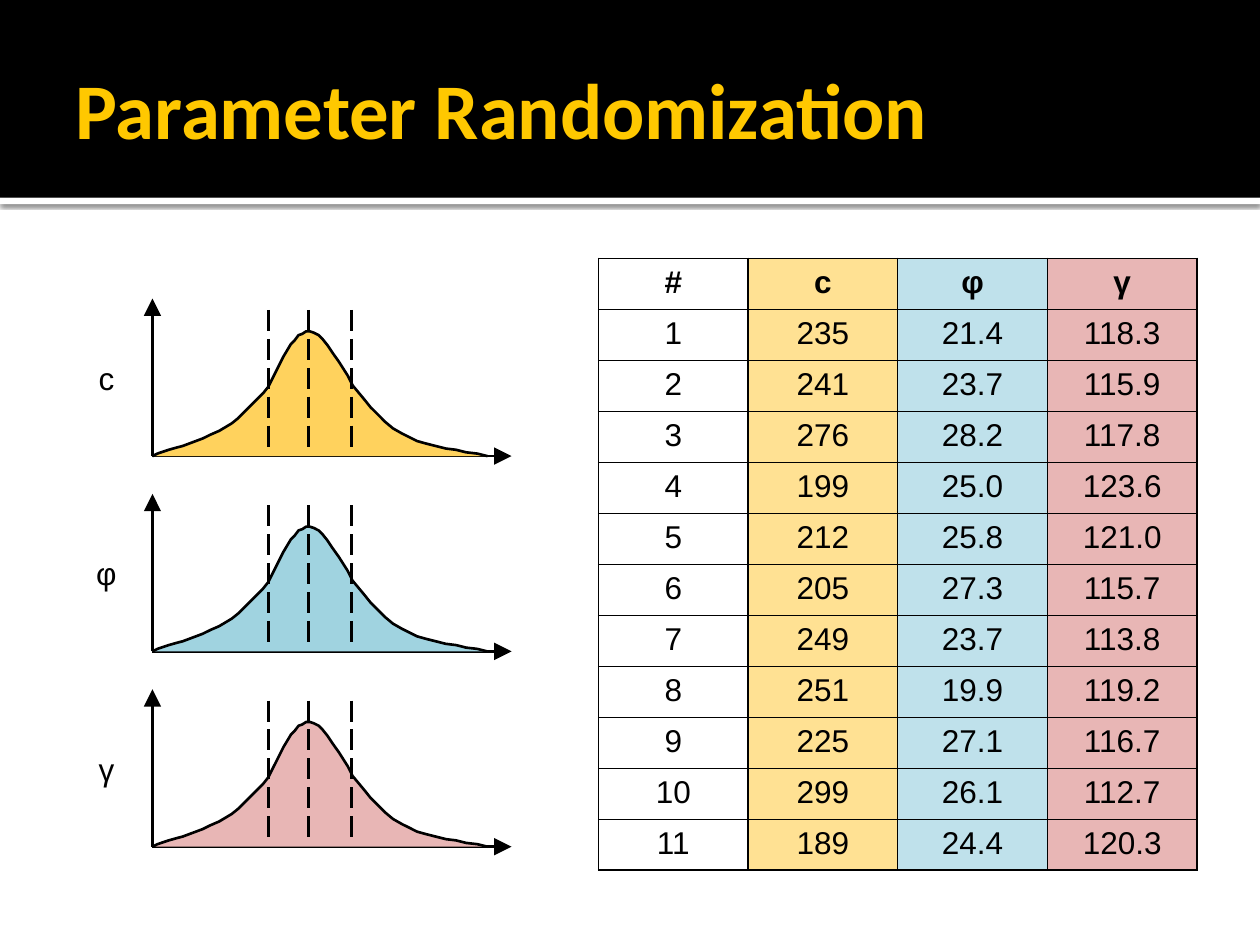
from dataclasses import dataclass

from lxml import etree
from pptx import Presentation
from pptx.dml.color import RGBColor
from pptx.enum.dml import MSO_LINE
from pptx.enum.shapes import MSO_CONNECTOR, MSO_SHAPE
from pptx.enum.text import MSO_ANCHOR, MSO_AUTO_SIZE, PP_ALIGN
from pptx.oxml import parse_xml
from pptx.oxml.ns import nsdecls, qn
from pptx.util import Pt

STRAIGHT = MSO_CONNECTOR.STRAIGHT
RECTANGLE = MSO_SHAPE.RECTANGLE
LONG_DASH = MSO_LINE.LONG_DASH
LEFT, CENTER = PP_ALIGN.LEFT, PP_ALIGN.CENTER
MIDDLE = MSO_ANCHOR.MIDDLE
FIXED_SIZE = MSO_AUTO_SIZE.NONE

PX = 9144  # EMU per px, 100 px to the inch
TITLE_ONLY = 5


@dataclass(frozen=True)
class Theme:
    ink: str = "000000"
    paper: str = "FFFFFF"
    title: str = "FFC800"
    title_font: str = "Calibri"
    body_font: str = "Arial"
    title_size: int = 45
    body_size: int = 18
    line_width: float = 1.5
    border_width: int = 1


THEME = Theme()

# symbol, curve fill, table column fill
PARAMETERS = [
    ("c", "FFD25D", "FFE193"),
    ("φ", "A0D3E0", "BFE1EB"),
    ("γ", "E8B6B5", "E8B6B5"),
]

SAMPLES = [
    ("235", "21.4", "118.3"),
    ("241", "23.7", "115.9"),
    ("276", "28.2", "117.8"),
    ("199", "25.0", "123.6"),
    ("212", "25.8", "121.0"),
    ("205", "27.3", "115.7"),
    ("249", "23.7", "113.8"),
    ("251", "19.9", "119.2"),
    ("225", "27.1", "116.7"),
    ("299", "26.1", "112.7"),
    ("189", "24.4", "120.3"),
]

# distance from the vertical axis, height above the baseline
BELL = [
    (0, 0), (4, 2), (7, 3), (13, 5), (20, 7), (24, 8), (32, 11), (40, 14),
    (46, 17), (53, 20), (58, 23), (63, 26), (68, 30), (72, 34), (76, 38),
    (80, 42), (88, 50), (92, 55), (95, 61), (101, 73), (104, 79), (107, 84),
    (110, 89), (113, 92), (116, 96), (119, 97), (122, 99), (125, 99),
    (128, 98), (132, 96), (135, 93), (139, 88), (143, 82), (148, 75),
    (155, 64), (159, 56), (164, 50), (169, 44), (173, 39), (177, 35),
    (185, 27), (191, 22), (198, 18), (204, 15), (210, 12), (217, 10),
    (225, 8), (233, 6), (241, 5), (249, 3), (258, 2), (266, 0),
]
MARKERS = (92, 124, 158)


def color(value):
    return RGBColor.from_string(value)


def emu(*lengths):
    return [length * PX for length in lengths]


def format_text(para, font, size, shade, bold=False, align=CENTER):
    para.alignment = align
    for span in para.runs:
        span.font.name = font
        span.font.size = Pt(size)
        span.font.bold = bold
        span.font.color.rgb = color(shade)


def draw_line(page, start, end, dashed=False, arrow=False):
    line = page.shapes.add_connector(STRAIGHT, *emu(*start, *end))
    line.line.color.rgb = color(THEME.ink)
    line.line.width = Pt(THEME.line_width)
    if dashed:
        line.line.dash_style = LONG_DASH
    properties = line.element.spPr
    if arrow:
        etree.SubElement(properties.find(qn("a:ln")), qn("a:tailEnd"),
                         type="triangle", w="lg", len="lg")
    etree.SubElement(properties, qn("a:effectLst"))


def draw_band(page, box, fill):
    """Add a full-width band behind the title."""
    band = page.shapes.add_shape(RECTANGLE, *emu(*box))
    band.shadow.inherit = False
    band.fill.solid()
    band.fill.fore_color.rgb = color(fill)
    band.line.fill.background()
    page.shapes.title.element.addprevious(band.element)
    return band


def draw_header(page, box, text):
    left, top, width, height = box
    rule = draw_band(page, (left, top + height, width, 5), THEME.paper)
    rule.element.spPr.find(qn("a:effectLst")).append(parse_xml(
        f'<a:outerShdw {nsdecls("a")} blurRad="{Pt(2.5)}" dist="{Pt(0.8)}" '
        f'dir="5400000" rotWithShape="0"><a:srgbClr val="{THEME.ink}">'
        '<a:alpha val="60000"/></a:srgbClr></a:outerShdw>'))
    draw_band(page, box, THEME.ink)

    title = page.shapes.title
    title.left, title.top, title.width, title.height = emu(
        left + 50, top + 17, width - 100, height - 20)
    frame = title.text_frame
    frame.text = text
    frame.auto_size = FIXED_SIZE
    frame.vertical_anchor = MIDDLE
    frame.margin_left, frame.margin_right = emu(10, 5)
    format_text(frame.paragraphs[0], THEME.title_font, THEME.title_size,
                THEME.title, bold=True, align=LEFT)


def draw_distribution(page, box, symbol, fill):
    left, top, width, height = box
    axis, baseline = left + 70, top + height
    draw_line(page, (axis, baseline), (axis, top), arrow=True)
    draw_line(page, (axis, baseline), (left + width, baseline), arrow=True)

    points = [(axis + across, baseline - up) for across, up in BELL]
    builder = page.shapes.build_freeform(*points[0], scale=PX)
    builder.add_line_segments(points[1:], close=False)
    curve = builder.convert_to_shape()
    curve.shadow.inherit = False
    curve.fill.solid()
    curve.fill.fore_color.rgb = color(fill)
    curve.line.color.rgb = color(THEME.ink)
    curve.line.width = Pt(THEME.line_width)

    for marker in MARKERS:
        across = axis + marker
        draw_line(page, (across, top + 9), (across, baseline - 4), dashed=True)

    label = page.shapes.add_textbox(*emu(left, top + 43, 67, 40))
    label.text_frame.word_wrap = True
    label.text_frame.text = symbol
    format_text(label.text_frame.paragraphs[0], THEME.body_font,
                THEME.body_size, THEME.ink)


def add_borders(cell):
    properties = cell._tc.get_or_add_tcPr()
    for side in ("lnL", "lnR", "lnT", "lnB"):
        properties.append(parse_xml(
            f'<a:{side} {nsdecls("a")} w="{Pt(THEME.border_width)}"><a:solidFill>'
            f'<a:srgbClr val="{THEME.ink}"/></a:solidFill></a:{side}>'))


def draw_samples(page, box):
    header = ["#"] + [symbol for symbol, _, _ in PARAMETERS]
    rows = [header] + [[str(number), *values]
                       for number, values in enumerate(SAMPLES, 1)]
    fills = [None] + [fill for _, _, fill in PARAMETERS]
    table = page.shapes.add_table(len(rows), len(header), *emu(*box)).table
    table.first_row = table.horz_banding = False
    for row, values in enumerate(rows):
        for column, (value, fill) in enumerate(zip(values, fills)):
            cell = table.cell(row, column)
            add_borders(cell)
            if fill:
                cell.fill.solid()
                cell.fill.fore_color.rgb = color(fill)
            else:
                cell.fill.background()
            cell.text_frame.text = value
            format_text(cell.text_frame.paragraphs[0], THEME.body_font,
                        THEME.body_size, THEME.ink, bold=row == 0)


def main():
    deck = Presentation()
    deck.slide_width, deck.slide_height = emu(1000, 750)
    page = deck.slides.add_slide(deck.slide_layouts[TITLE_ONLY])
    draw_header(page, (0, 0, 1000, 157), "Parameter Randomization")
    for index, (symbol, fill, _) in enumerate(PARAMETERS):
        draw_distribution(page, (51, 237 + 155 * index, 355, 125), symbol, fill)
    draw_samples(page, (475, 205, 475, 486))
    deck.save("out.pptx")


if __name__ == "__main__":
    main()
